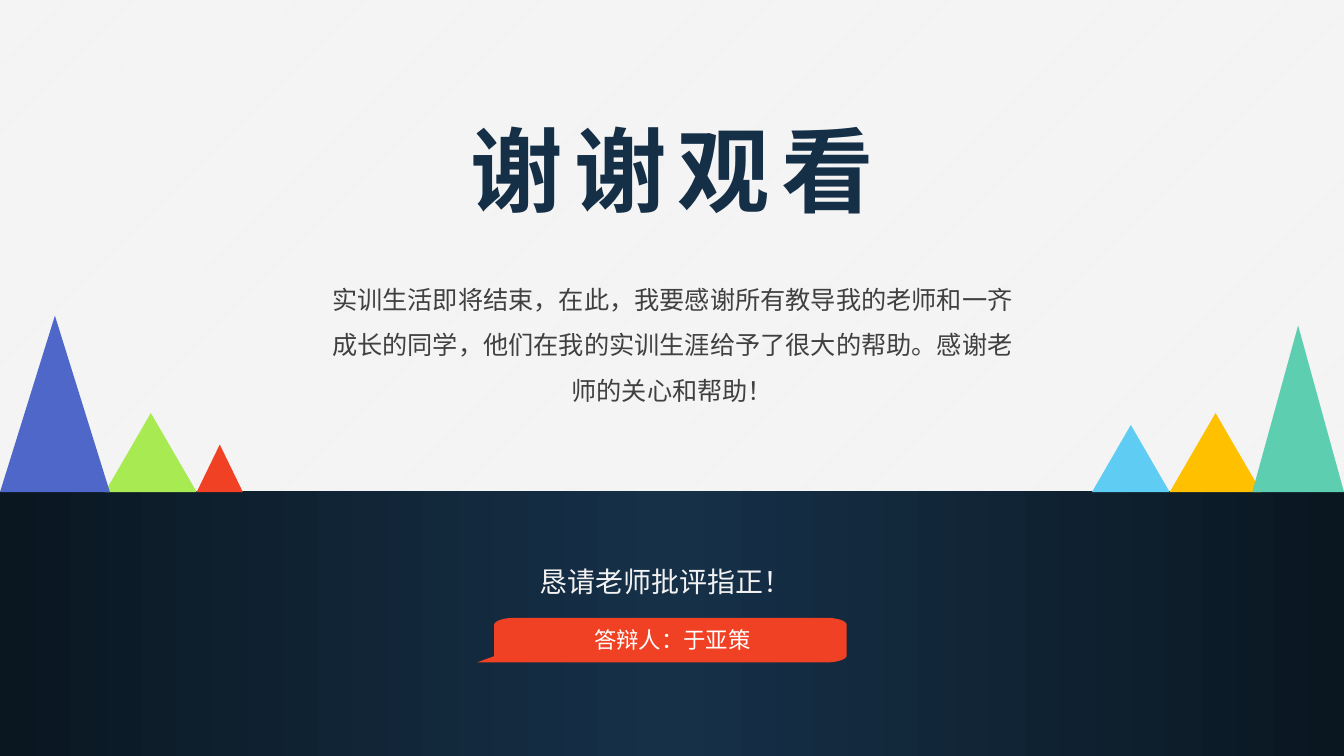
from dataclasses import dataclass
from math import cos, pi, sin

from lxml.etree import SubElement
from pptx import Presentation
from pptx.dml.color import RGBColor
from pptx.enum.dml import MSO_PATTERN
from pptx.enum.shapes import MSO_SHAPE
from pptx.enum.text import MSO_ANCHOR, MSO_AUTO_SIZE, PP_ALIGN
from pptx.oxml.ns import qn
from pptx.util import Pt

FONT = "Noto Sans CJK SC"
WIDE, HIGH = 960, 540
HORIZON = 351.5
COLORS = {
    "paper": "F2F2F2", "white": "FFFFFF", "navy": "163048", "night": "0A1721",
    "title": "152F47", "body": "404040", "blue": "4E67C8", "lime": "A7EA52",
    "red": "F14124", "sky": "5ECCF3", "gold": "FFC000", "mint": "5DCEAF",
}


@dataclass
class Peak:
    left: float
    width: float
    height: float
    color: str


@dataclass
class Label:
    text: str
    box: tuple[float, float, float, float]
    color: str
    font: dict
    para: dict
    space: int = 0
    indent: float = 0


PEAKS = [
    Peak(75, 65.5, 56.5, "lime"),
    Peak(780, 55.5, 48, "sky"),
    Peak(0, 78.5, 126, "blue"),
    Peak(140.5, 33, 34, "red"),
    Peak(835.5, 65.5, 56.5, "gold"),
    Peak(894.5, 65.5, 119, "mint"),
]
TITLE = Label("谢谢观看", (305.3, 77, 350, 87), "title",
              {"size": Pt(66), "bold": True}, {"alignment": PP_ALIGN.CENTER}, 800)
THANKS = Label(
    "实训生活即将结束，在此，我要感谢所有教导我的老师和一齐成长的同学，"
    "他们在我的实训生涯给予了很大的帮助。感谢老师的关心和帮助！",
    (226.8, 188.6, 507, 101.5), "body", {"size": Pt(18)},
    {"alignment": PP_ALIGN.CENTER, "line_spacing": 1.5})
REQUEST = Label("恳请老师批评指正！", (360, 387.4, 240, 39.6), "paper",
                {"size": Pt(20)},
                {"alignment": PP_ALIGN.LEFT, "line_spacing": 1.5}, indent=18)
SPEAKER = Label("答辩人：于亚策", (337, 443.5, 286.5, 26.6), "white",
                {"size": Pt(16)}, {"alignment": PP_ALIGN.CENTER})


def rgb(name: str) -> RGBColor:
    return RGBColor.from_string(COLORS[name])


def apply(item, values: dict) -> None:
    for key, value in values.items():
        setattr(item, key, value)


def place(shape, box: tuple) -> None:
    apply(shape, dict(zip(("left", "top", "width", "height"), map(Pt, box))))


def paint(shape, color: str) -> None:
    shape.shadow.inherit = False
    shape.line.fill.background()
    shape.fill.solid()
    shape.fill.fore_color.rgb = rgb(color)


def write(shape, label: Label) -> None:
    place(shape, label.box)
    frame = shape.text_frame
    apply(frame, {"word_wrap": True, "vertical_anchor": MSO_ANCHOR.TOP,
                  "auto_size": MSO_AUTO_SIZE.SHAPE_TO_FIT_TEXT,
                  "margin_left": Pt(7.2 + label.indent)})
    para = frame.paragraphs[0]
    apply(para, label.para)
    run = para.add_run()
    run.text = label.text
    apply(run.font, {"name": FONT, **label.font})
    run.font.color.rgb = rgb(label.color)
    props = run.font._element
    SubElement(props, qn("a:ea")).set("typeface", FONT)
    if label.space:
        props.set("spc", str(label.space))


def ground(shapes, left: float, width: float, turn: int) -> None:
    rect = shapes.add_shape(MSO_SHAPE.RECTANGLE, Pt(left), Pt(HORIZON - 0.5),
                            Pt(width), Pt(HIGH - HORIZON + 0.5))
    paint(rect, "navy")
    rect.rotation = turn
    rect.fill.gradient()
    rect.fill.gradient_angle = 0
    for stop, color in zip(rect.fill.gradient_stops, ("navy", "night")):
        stop.color.rgb = rgb(color)


def corner(x: float, y: float, start: int) -> list[tuple]:
    """Points of a quarter ellipse about x, y, clockwise from start degrees."""
    turns = [(start + 9 * step) * pi / 180 for step in range(11)]
    return [(x + 14.8 * cos(turn), y + 5 * sin(turn)) for turn in turns]


def bubble(shapes) -> None:
    left, top, right, low = 353, 441.3, 604.8, 473.2
    dots = [
        *corner(left + 14.8, top + 5, 180),
        *corner(right - 14.8, top + 5, 270),
        *corner(right - 14.8, low - 5, 0),
        (340.6, low), (left, 468.7),
    ]
    dots = [(Pt(x), Pt(y)) for x, y in dots]
    pen = shapes.build_freeform(*dots[0], scale=1)
    pen.add_line_segments(dots[1:], close=True)
    paint(pen.convert_to_shape(), "red")


def main() -> None:
    deck = Presentation()
    apply(deck, {"slide_width": Pt(WIDE), "slide_height": Pt(HIGH)})
    slide = deck.slides.add_slide(deck.slide_layouts[5])
    shapes = slide.shapes

    # Striped paper
    back = slide.background.fill
    back.patterned()
    back.pattern = MSO_PATTERN.LIGHT_UPWARD_DIAGONAL
    back.fore_color.rgb = rgb("white")
    back.back_color.rgb = rgb("paper")

    # Dark ground, fading to both sides
    half = 478.5
    ground(shapes, 0, half, 180)
    ground(shapes, half, WIDE - half, 0)

    # Title and thanks
    write(shapes.title, TITLE)
    for label in (THANKS, REQUEST):
        write(shapes.add_textbox(0, 0, 0, 0), label)

    # Peaks on the horizon
    for peak in PEAKS:
        hill = shapes.add_shape(MSO_SHAPE.ISOSCELES_TRIANGLE, 0, 0, 0, 0)
        place(hill, (peak.left, HORIZON - peak.height, peak.width, peak.height))
        paint(hill, peak.color)

    # Speaker bubble
    bubble(shapes)
    write(shapes.add_textbox(0, 0, 0, 0), SPEAKER)

    deck.save("out.pptx")


if __name__ == "__main__":
    main()
